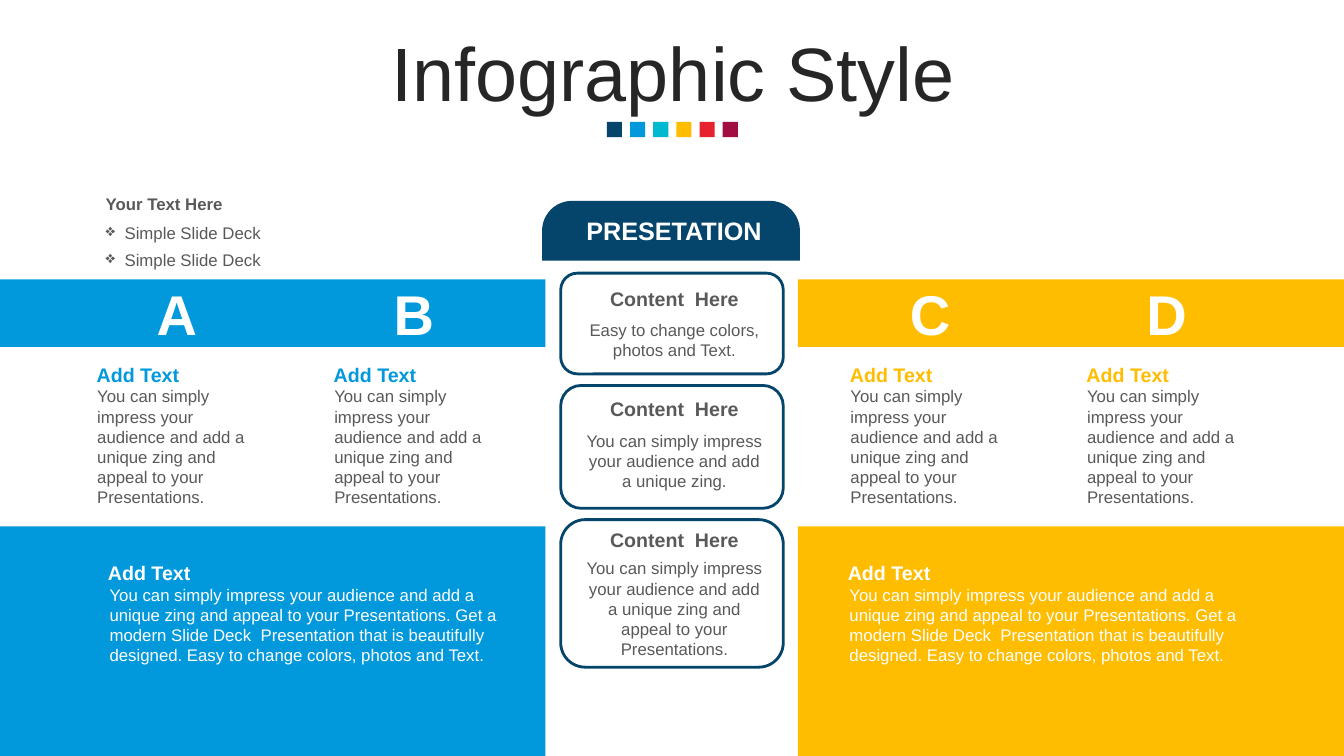
from lxml import etree
from pptx import Presentation
from pptx.dml.color import RGBColor
from pptx.enum.shapes import MSO_SHAPE
from pptx.enum.text import MSO_ANCHOR, MSO_AUTO_SIZE, PP_ALIGN
from pptx.oxml.ns import qn
from pptx.util import Pt

RECT = MSO_SHAPE.RECTANGLE
ROUNDED = MSO_SHAPE.ROUNDED_RECTANGLE
TAB = MSO_SHAPE.ROUND_2_SAME_RECTANGLE
LEFT, CENTER = PP_ALIGN.LEFT, PP_ALIGN.CENTER
MIDDLE = MSO_ANCHOR.MIDDLE
NO_FIT = MSO_AUTO_SIZE.NONE
TITLE_ONLY = 5

COLORS = {
    "navy": "05456B", "blue": "0199DC", "teal": "00B8D0", "yellow": "FEBD00",
    "red": "E7222F", "wine": "A10E42", "title": "262626", "gray": "595959",
    "white": "FFFFFF",
}
WIDTH, HEIGHT = 960, 540

SHORT_TEXT = ("You can simply impress your audience and add a unique zing "
              "and appeal to your Presentations.")
LONG_TEXT = (SHORT_TEXT + " Get a modern Slide Deck  Presentation that is beautifully "
             "designed. Easy to change colors, photos and Text.")


class Canvas:
    """Draws styled elements on one slide; all lengths are in points."""

    def __init__(self, slide, font="Arial"):
        self.slide = slide
        self.font = font

    def color(self, name):
        return RGBColor.from_string(COLORS[name])

    def add_styled_run(self, paragraph, text, size, color, bold, align):
        paragraph.alignment = align
        run = paragraph.add_run()
        run.text = text
        run.font.name = self.font
        run.font.size = Pt(size)
        run.font.bold = bold
        run.font.color.rgb = self.color(color)

    def title(self, text, left, top, width, height):
        title = self.slide.shapes.title
        title.left, title.top = Pt(left), Pt(top)
        title.width, title.height = Pt(width), Pt(height)
        frame = title.text_frame
        frame.word_wrap = True
        frame.auto_size = NO_FIT
        frame.vertical_anchor = MIDDLE
        paragraph = frame.paragraphs[0]
        paragraph.line_spacing = 0.9
        self.add_styled_run(paragraph, text, 54, "title", False, CENTER)

    def shape(self, kind, left, top, width, height, fill=None, line=None):
        shape = self.slide.shapes.add_shape(kind, Pt(left), Pt(top), Pt(width), Pt(height))
        shape.shadow.inherit = False
        if fill:
            shape.fill.solid()
            shape.fill.fore_color.rgb = self.color(fill)
        else:
            shape.fill.background()
        if line:
            shape.line.color.rgb = self.color(line)
            shape.line.width = Pt(2)
        else:
            shape.line.fill.background()
        return shape

    def text(self, text, left, top, width, height, size=12, color="gray",
             bold=False, align=LEFT, bullet=None):
        box = self.slide.shapes.add_textbox(Pt(left), Pt(top), Pt(width), Pt(height))
        box.text_frame.word_wrap = True
        paragraph = box.text_frame.paragraphs[0]
        if bullet:
            properties = paragraph._p.get_or_add_pPr()
            properties.set("marL", str(Pt(13.5)))
            properties.set("indent", str(Pt(-13.5)))
            etree.SubElement(properties, qn("a:buChar")).set("char", bullet)
        self.add_styled_run(paragraph, text, size, color, bold, align)

    def heading(self, text, left, top, width, color="gray", align=LEFT):
        self.text(text, left, top, width, 24.5, 14, color, True, align)


def main():
    prs = Presentation()
    prs.slide_width, prs.slide_height = Pt(WIDTH), Pt(HEIGHT)
    canvas = Canvas(prs.slides.add_slide(prs.slide_layouts[TITLE_ONLY]))

    canvas.title("Infographic Style", 25.2, 26.6, 911.5, 56.9)
    for i, accent in enumerate(("navy", "blue", "teal", "yellow", "red", "wine")):
        canvas.shape(RECT, 433.5 + 16.55 * i, 87.1, 10.8, 10.8, accent)

    # Each side: colour, band left and width, columns, summary left and width
    sides = (
        ("blue", 0, 389.5, (("A", 62), ("B", 231.3)), 70, 306.5),
        ("yellow", 570, 390, (("C", 600), ("D", 769)), 598.5, 291.5),
    )
    for color, band_left, band_width, columns, summary_left, summary_width in sides:
        for top, height in ((199.5, 48.3), (376, 164)):
            canvas.shape(RECT, band_left, top, band_width, height, color)
        for letter, left in columns:
            canvas.text(letter, left + 41.5, 196, 45.5, 55.5, 40, "white", True, CENTER)
            canvas.heading("Add Text", left, 255.6, 128, color)
            canvas.text(SHORT_TEXT, left + 0.4, 272.3, 128, 94.5)
        canvas.heading("Add Text", summary_left, 396.9, summary_width, "white")
        canvas.text(LONG_TEXT, summary_left + 1.2, 414, summary_width, 65.5, color="white")

    tab = canvas.shape(TAB, 387.2, 143.5, 184.2, 42.7, "navy")
    tab.adjustments[0], tab.adjustments[1] = 0.5, 0
    canvas.text("PRESETATION", 404, 150.5, 155, 29, 18, "white", True, CENTER)

    # Each card: top, height, heading top, body top, body text
    cards = (
        (195.1, 72, 201.6, 224.9, "Easy to change colors, photos and Text."),
        (275.3, 87.8, 280.3, 303.8,
         "You can simply impress your audience and add a unique zing."),
        (371.2, 105.4, 373.9, 395.2, SHORT_TEXT),
    )
    for top, height, heading_top, body_top, body in cards:
        canvas.shape(ROUNDED, 400.5, top, 159, height, line="navy")
        canvas.heading("Content  Here", 411.5, heading_top, 140.5, align=CENTER)
        canvas.text(body, 411.5, body_top, 140.5, top + height - body_top, align=CENTER)

    canvas.text("Your Text Here", 68.4, 134.6, 137.5, 21.8, bold=True)
    for top in (155.5, 174.8):
        canvas.text("Simple Slide Deck", 68.4, top, 137.5, 21.8, bullet="❖")

    prs.save("out.pptx")


if __name__ == "__main__":
    main()
